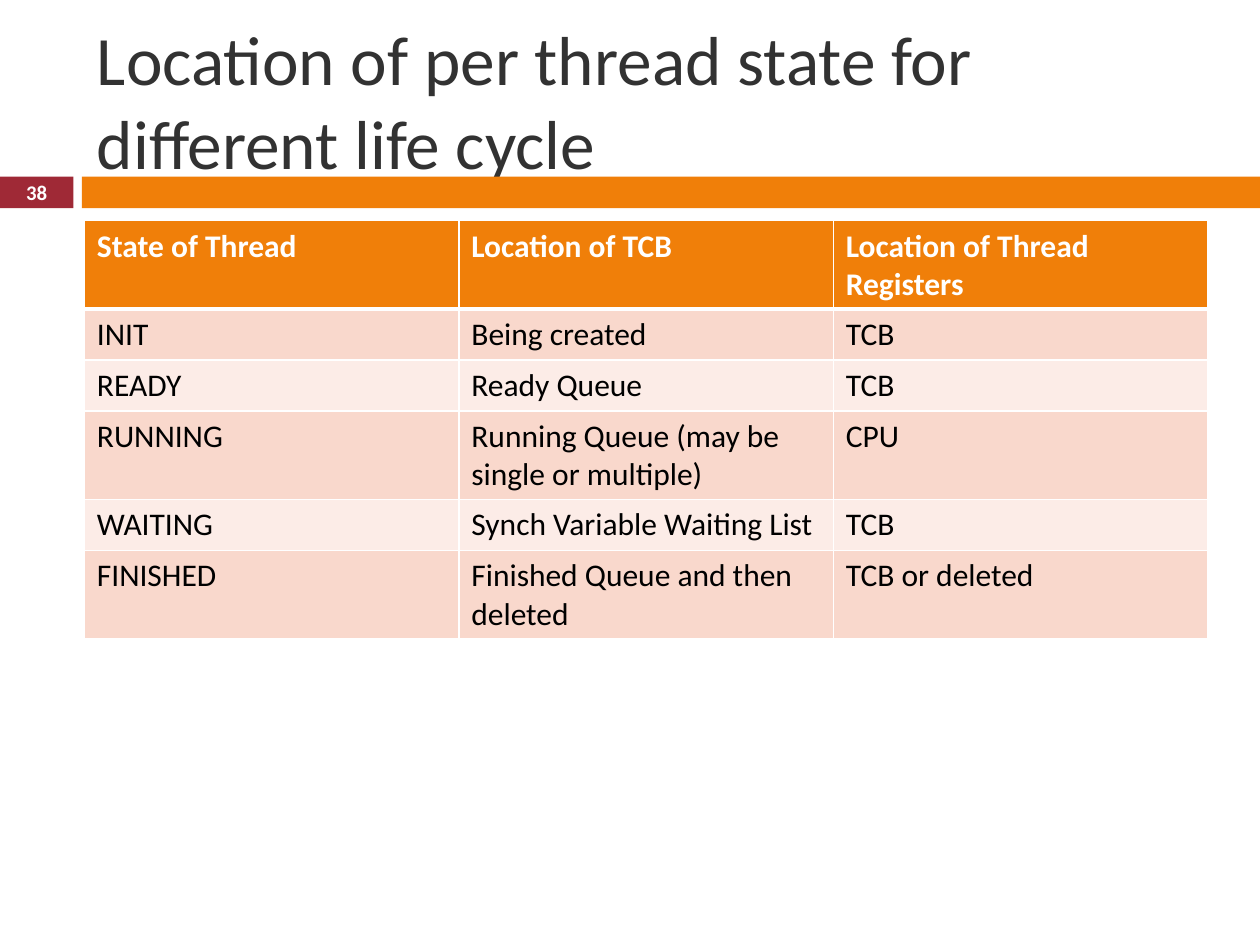
import pptx
import pptx.util
import pptx.dml.color
import pptx.enum.shapes
import pptx.enum.text
import pptx.oxml
import pptx.oxml.ns

Cm = pptx.util.Cm
Pt = pptx.util.Pt
RGBColor = pptx.dml.color.RGBColor
MIDDLE = pptx.enum.text.MSO_ANCHOR.MIDDLE

FONT = "Calibri"
WHITE = RGBColor(0xFF, 0xFF, 0xFF)
BLACK = RGBColor(0, 0, 0)
GREY = RGBColor(0x32, 0x32, 0x32)
RED = RGBColor(0x9F, 0x29, 0x36)
ORANGE = RGBColor(0xF0, 0x7F, 0x09)
PEACH = RGBColor(0xF9, 0xD8, 0xCC)
PALE = RGBColor(0xFC, 0xEC, 0xE7)

STATES = [
    ("State of Thread", "Location of TCB", "Location of Thread Registers"),
    ("INIT", "Being created", "TCB"),
    ("READY", "Ready Queue", "TCB"),
    ("RUNNING", "Running Queue (may be single or multiple)", "CPU"),
    ("WAITING", "Synch Variable Waiting List", "TCB"),
    ("FINISHED", "Finished Queue and then deleted", "TCB or deleted"),
]


def add_text(frame, text, size, color, bold=False):
    run = frame.paragraphs[0].add_run()
    run.text = text
    run.font.name = FONT
    run.font.size = Pt(size)
    run.font.bold = bold
    run.font.color.rgb = color


def add_bar(slide, left, top, width, height, color):
    bar = slide.shapes.add_shape(
        pptx.enum.shapes.MSO_SHAPE.RECTANGLE, Cm(left), Cm(top), Cm(width), Cm(height))
    bar.shadow.inherit = False
    bar.fill.solid()
    bar.fill.fore_color.rgb = color
    bar.line.fill.background()


def add_band(slide, left, top, width, height):
    tab, gap = 1.48, 0.17
    add_bar(slide, left, top, tab, height, RED)
    add_bar(slide, left + tab + gap, top, width - tab - gap, height, ORANGE)
    box = slide.shapes.add_textbox(Cm(left), Cm(top), Cm(tab), Cm(height))
    frame = box.text_frame
    frame.word_wrap = True
    frame.vertical_anchor = MIDDLE
    frame.margin_top = frame.margin_bottom = 0
    frame.paragraphs[0].alignment = pptx.enum.text.PP_ALIGN.CENTER
    add_text(frame, "38", 11.9, WHITE, True)


def add_title(slide, left, top, width, height):
    title = slide.shapes.title
    title.left, title.top = Cm(left), Cm(top)
    title.width, title.height = Cm(width), Cm(height)
    frame = title.text_frame
    frame.word_wrap = True
    frame.auto_size = pptx.enum.text.MSO_AUTO_SIZE.NONE
    frame.vertical_anchor = MIDDLE
    frame.paragraphs[0].alignment = pptx.enum.text.PP_ALIGN.LEFT
    add_text(frame, "Location of per thread state for different life cycle", 39.6, GREY)


def add_edge(cell, side, width):
    props = cell._tc.get_or_add_tcPr()
    props.append(pptx.oxml.parse_xml(
        f'<a:ln{side} {pptx.oxml.ns.nsdecls("a")} w="{Pt(width)}"><a:solidFill>'
        f'<a:srgbClr val="{WHITE}"/></a:solidFill></a:ln{side}>'))


def add_grid(slide, left, top, width, row_height):
    rows, cols = len(STATES), len(STATES[0])
    grid = slide.shapes.add_table(
        rows, cols, Cm(left), Cm(top), Cm(width), Cm(row_height * rows)).table
    for y, texts in enumerate(STATES):
        head = y == 0
        shade = ORANGE if head else PEACH if y % 2 else PALE
        for x, text in enumerate(texts):
            cell = grid.cell(y, x)
            add_edge(cell, "L", 1)
            add_edge(cell, "R", 1)
            add_edge(cell, "T", 3 if y == 1 else 1)
            add_edge(cell, "B", 3 if head else 1)
            cell.fill.solid()
            cell.fill.fore_color.rgb = shade
            add_text(cell.text_frame, text, 18, WHITE if head else BLACK, head)


def main():
    deck = pptx.Presentation()
    deck.slide_width, deck.slide_height = Cm(25.4), Cm(19.05)
    slide = deck.slides.add_slide(deck.slide_layouts[5])
    add_band(slide, 0, 3.56, 25.4, 0.64)
    add_title(slide, 1.7, 0.64, 22.65, 2.74)
    add_grid(slide, 1.7, 4.45, 22.65, 1.03)
    deck.save("out.pptx")


if __name__ == "__main__":
    main()
